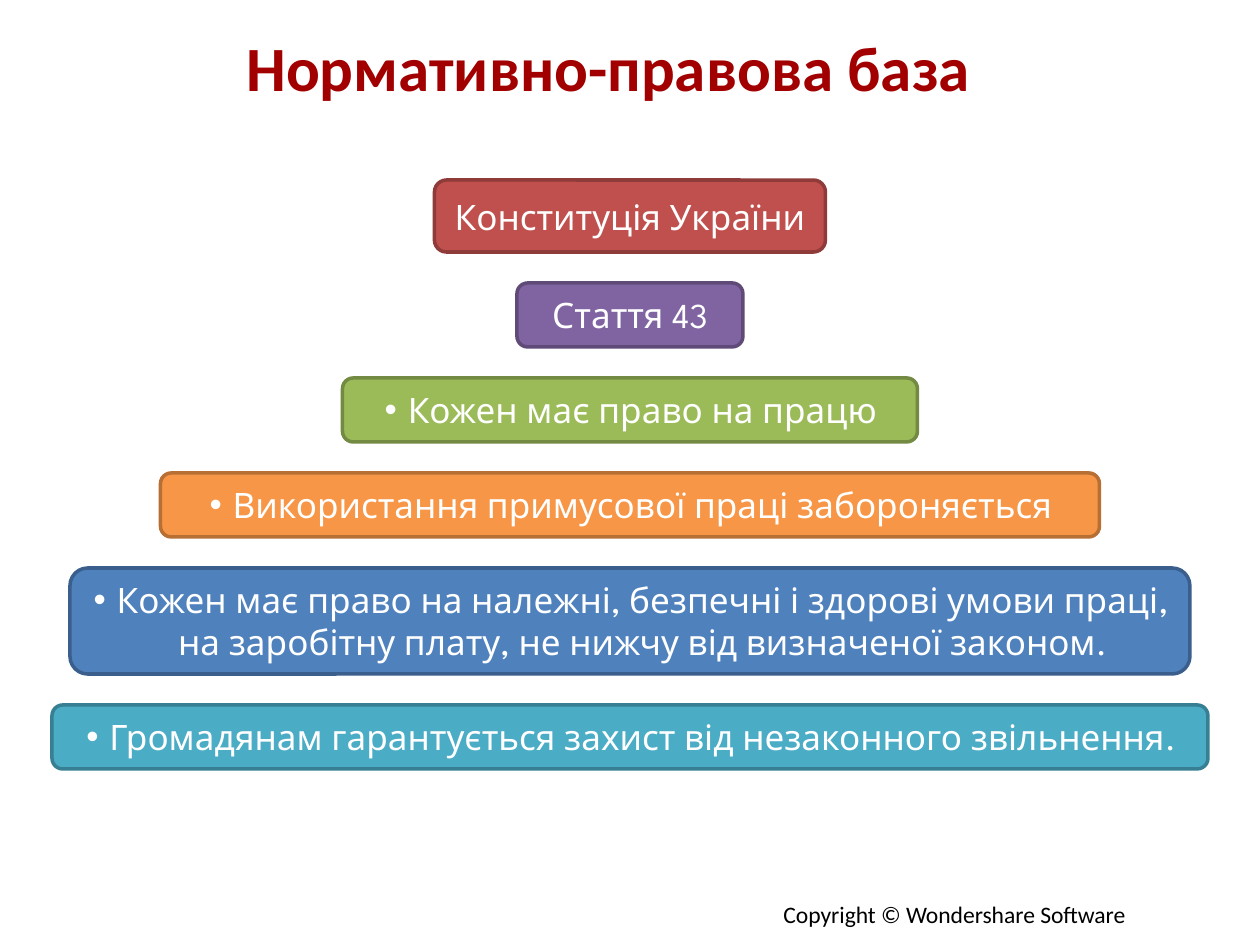
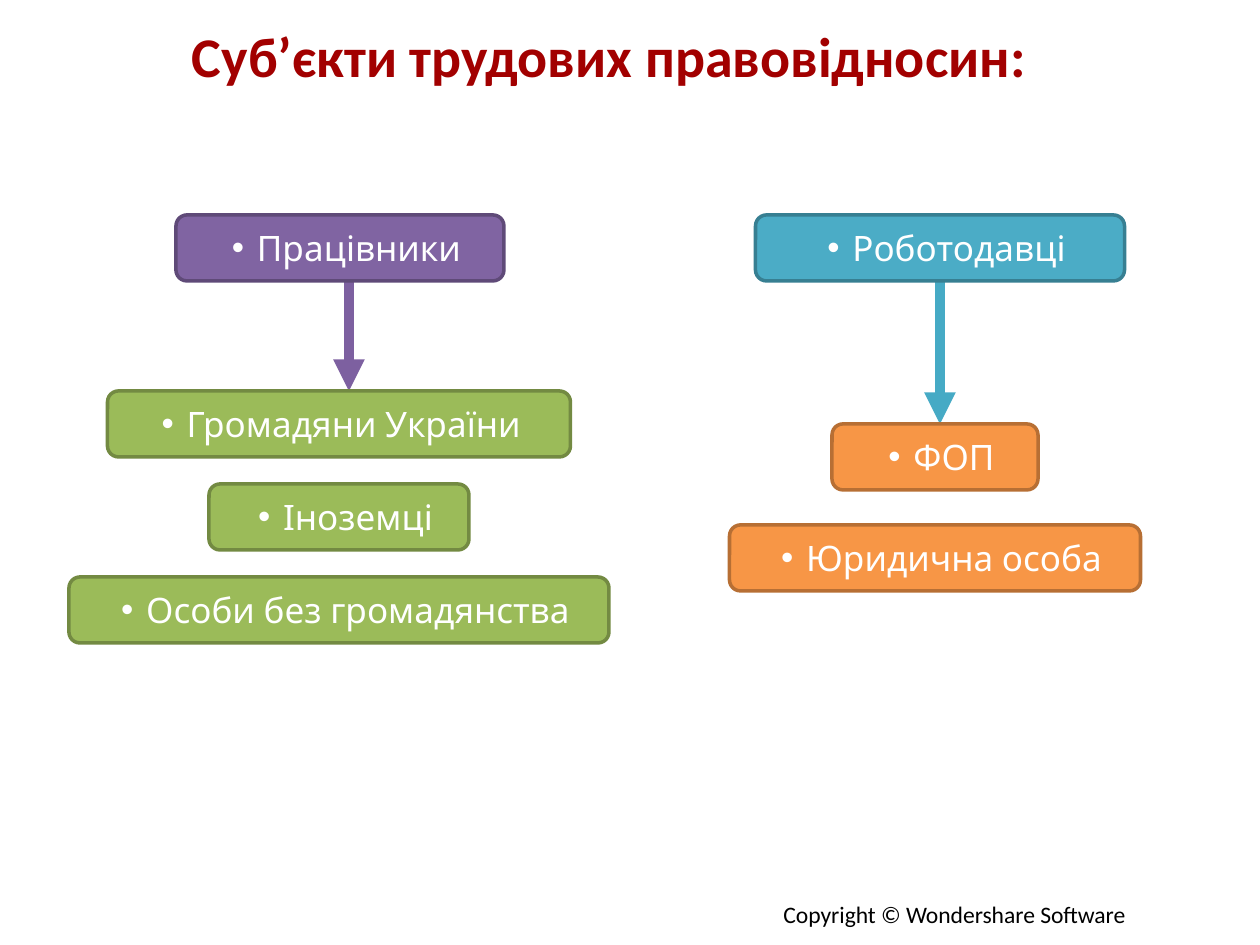
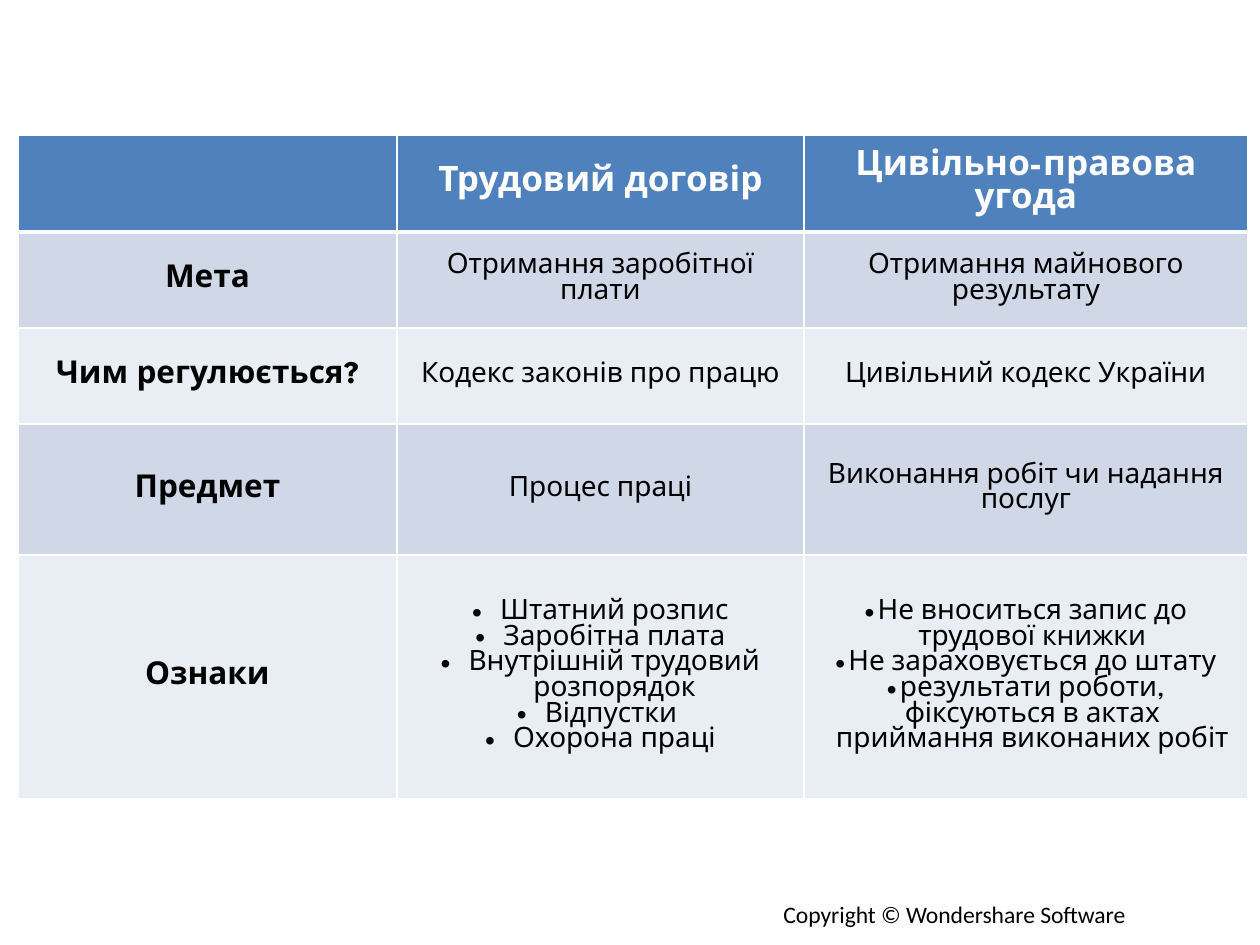
from lxml.etree import SubElement
from pptx import Presentation
from pptx.dml.color import RGBColor
from pptx.enum.shapes import MSO_CONNECTOR, MSO_SHAPE
from pptx.enum.text import MSO_ANCHOR, MSO_AUTO_SIZE, PP_ALIGN
from pptx.oxml.ns import qn
from pptx.util import Emu, Pt

PX_PER_INCH = 126
BODY_FONT = "League Spartan"
HEADING_FONT = "Calibri"
WHITE, BLACK, TITLE_RED = "FFFFFF", "000000", "A20000"
HEADER_BLUE = "4F81BD"
ROW_FILLS = ("D0D8E8", "E9EDF4")
RED = ("C0504D", "8E3B39")
PURPLE = ("8064A2", "5F4A78")
GREEN = ("9BBB59", "738A42")
ORANGE = ("F79646", "B76F34")
BLUE = ("4F81BD", "3A5F8C")
TEAL = ("4BACC6", "377F92")

LAW_BOXES = [
    ("Конституція України", 391, 72, RED, None),
    ("Стаття 43", 226, 64, PURPLE, None),
    ("Кожен має право на працю", 575, 64, GREEN, (25, 23)),
    ("Використання примусової праці забороняється", 939, 64, ORANGE, (25, 23)),
    ("Кожен має право на належні, безпечні і здорові умови праці, "
     "на заробітну плату, не нижчу від визначеної законом.", 1120, 106, BLUE, (25, 23)),
    ("Громадянам гарантується захист від незаконного звільнення.", 1156, 64, TEAL, (25, 23)),
]

EMPLOYEE_BOXES = [("Громадяни України ", 463), ("Іноземці", 260), ("Особи без громадянства", 540)]
EMPLOYER_BOXES = [("ФОП", 206), ("Юридична особа", 411)]

COLUMN_WIDTHS = (379, 407, 444)
ROW_HEIGHTS = (97, 96, 96, 131, 244)
BULLET_INDENTS = (None, (28, 28), (13, 13))
CONTRACT_ROWS = [
    ("", "Трудовий договір", "Цивільно-правова угода"),
    ("Мета", "Отримання заробітної плати", "Отримання майнового результату"),
    ("Чим регулюється?", "Кодекс законів про працю", "Цивільний кодекс України"),
    ("Предмет", "Процес праці", "Виконання робіт чи надання послуг"),
    ("Ознаки",
     ["Штатний розпис", "Заробітна плата", "Внутрішній трудовий розпорядок",
      "Відпустки ", "Охорона праці"],
     ["Не вноситься запис до трудової книжки", "Не зараховується до штату",
      "результати роботи, фіксуються в актах приймання виконаних робіт"]),
]


def px(length):
    """Turn pixels into EMU."""
    return Emu(round(length * 914400 / PX_PER_INCH))


def color(value):
    """Turn a hex string into a colour."""
    return RGBColor.from_string(value)


def add_bullet(paragraph, indent):
    """Give a paragraph a hanging bullet."""
    margin, hanging = indent
    properties = paragraph._p.get_or_add_pPr()
    properties.set("marL", str(px(margin)))
    properties.set("indent", str(-px(hanging)))
    SubElement(properties, qn("a:buFont"), typeface="Arial")
    SubElement(properties, qn("a:buChar"), char="•")


def write(paragraph, text, size, hue, name=BODY_FONT, bold=False,
          align=PP_ALIGN.CENTER, indent=None):
    """Fill one paragraph with formatted text."""
    paragraph.text = text
    paragraph.alignment = align
    if indent:
        add_bullet(paragraph, indent)
    font = paragraph.font
    font.name, font.size, font.bold = name, Pt(size), bold
    font.color.rgb = color(hue)


def add_title(slide, text, left, top, width, size, align=PP_ALIGN.CENTER):
    """Add a bold slide title."""
    frame = slide.shapes.add_textbox(px(left), px(top), px(width), px(86)).text_frame
    frame.word_wrap = True
    frame.vertical_anchor = MSO_ANCHOR.MIDDLE
    write(frame.paragraphs[0], text, size, TITLE_RED, HEADING_FONT, True, align)


def add_slide(presentation):
    """Add a blank slide with the shared footer."""
    slide = presentation.slides.add_slide(presentation.slide_layouts[6])
    frame = slide.shapes.add_textbox(px(771), px(894), px(374), px(42)).text_frame
    frame.word_wrap = False
    frame.auto_size = MSO_AUTO_SIZE.SHAPE_TO_FIT_TEXT
    write(frame.paragraphs[0], "Copyright © Wondershare Software", 13.5, BLACK,
          HEADING_FONT, align=PP_ALIGN.LEFT)
    return slide


def add_box(slide, text, center, top, width, height, colors, indent):
    """Add a rounded box centred on a vertical axis."""
    shape = slide.shapes.add_shape(MSO_SHAPE.ROUNDED_RECTANGLE, px(center - width / 2),
                                   px(top), px(width), px(height))
    fill, outline = colors
    shape.shadow.inherit = False
    shape.fill.solid()
    shape.fill.fore_color.rgb = color(fill)
    shape.line.color.rgb = color(outline)
    shape.line.width = Pt(2)
    frame = shape.text_frame
    frame.word_wrap = True
    frame.vertical_anchor = MSO_ANCHOR.MIDDLE
    frame.margin_left = frame.margin_right = px(10)
    frame.margin_top = frame.margin_bottom = px(6)
    write(frame.paragraphs[0], text, 20, WHITE, indent=indent)


def add_arrow(slide, x, top, bottom, hue):
    """Add a thick arrow pointing down."""
    arrow = slide.shapes.add_connector(MSO_CONNECTOR.STRAIGHT, px(x), px(top), px(x), px(bottom))
    arrow.line.color.rgb = color(hue)
    arrow.line.width = Pt(6)
    SubElement(arrow.line._get_or_add_ln(), qn("a:tailEnd"), type="triangle")
    SubElement(arrow._element.spPr, qn("a:effectLst"))


def add_borders(cell, bottom_width):
    """Draw white borders around a table cell."""
    properties = cell._tc.get_or_add_tcPr()
    for side, width in (("lnL", 1), ("lnR", 1), ("lnT", 1), ("lnB", bottom_width)):
        line = SubElement(properties, qn(f"a:{side}"), w=str(Pt(width)))
        SubElement(SubElement(line, qn("a:solidFill")), qn("a:srgbClr"), val=WHITE)


def fill_cell(cell, content, row, column):
    """Style one table cell and write its paragraphs."""
    header = row == 0
    add_borders(cell, 3 if header else 1)
    cell.fill.solid()
    cell.fill.fore_color.rgb = color(HEADER_BLUE if header else ROW_FILLS[(row - 1) % 2])
    cell.vertical_anchor = MSO_ANCHOR.MIDDLE
    listed = isinstance(content, list)
    size = 20 if header else 18 if column == 0 else 16
    for index, text in enumerate(content if listed else [content]):
        frame = cell.text_frame
        paragraph = frame.add_paragraph() if index else frame.paragraphs[0]
        write(paragraph, text, size, WHITE if header else BLACK, bold=header or column == 0,
              indent=BULLET_INDENTS[column] if listed else None)


def add_contract_table(slide):
    """Add the comparison of the two kinds of contract."""
    table = slide.shapes.add_table(len(ROW_HEIGHTS), len(COLUMN_WIDTHS), px(18), px(135),
                                   px(sum(COLUMN_WIDTHS)), px(sum(ROW_HEIGHTS))).table
    for column, width in zip(table.columns, COLUMN_WIDTHS):
        column.width = px(width)
    for row, height in zip(table.rows, ROW_HEIGHTS):
        row.height = px(height)
    for row, contents in enumerate(CONTRACT_ROWS):
        for column, content in enumerate(contents):
            fill_cell(table.cell(row, column), content, row, column)


def build_law_slide(presentation):
    """Build the slide on the legal basis."""
    slide = add_slide(presentation)
    add_title(slide, "Нормативно-правова база", 234, 23, 791, 36, PP_ALIGN.JUSTIFY)
    top = 180
    for text, width, height, colors, indent in LAW_BOXES:
        add_box(slide, text, 630, top, width, height, colors, indent)
        top += height + 31


def add_party(slide, heading, boxes, center, first_center, first_top, step):
    """Add a heading box and the column of boxes below it."""
    text, width, heading_colors, colors = heading
    indent = (38, 25)
    add_box(slide, text, center, 215, width, 66, heading_colors, indent)
    for index, (label, box_width) in enumerate(boxes):
        add_box(slide, label, first_center, first_top + index * step, box_width, 66, colors, indent)


def build_parties_slide(presentation):
    """Build the slide on the parties to labour relations."""
    slide = add_slide(presentation)
    add_arrow(slide, 940, 281, 424, "46AAC5")
    add_arrow(slide, 349, 248, 391, "7D60A0")
    add_title(slide, "Суб’єкти трудових правовідносин:", 35, 12, 1149, 32)
    add_party(slide, ("Працівники", 328, PURPLE, GREEN), EMPLOYEE_BOXES, 340, 339, 391, 93)
    add_party(slide, ("Роботодавці", 369, TEAL, ORANGE), EMPLOYER_BOXES, 940, 935, 424, 101)


def main():
    """Build and save the presentation."""
    presentation = Presentation()
    presentation.slide_width, presentation.slide_height = px(1260), px(945)
    build_law_slide(presentation)
    build_parties_slide(presentation)
    add_contract_table(add_slide(presentation))
    presentation.save("out.pptx")


if __name__ == "__main__":
    main()
